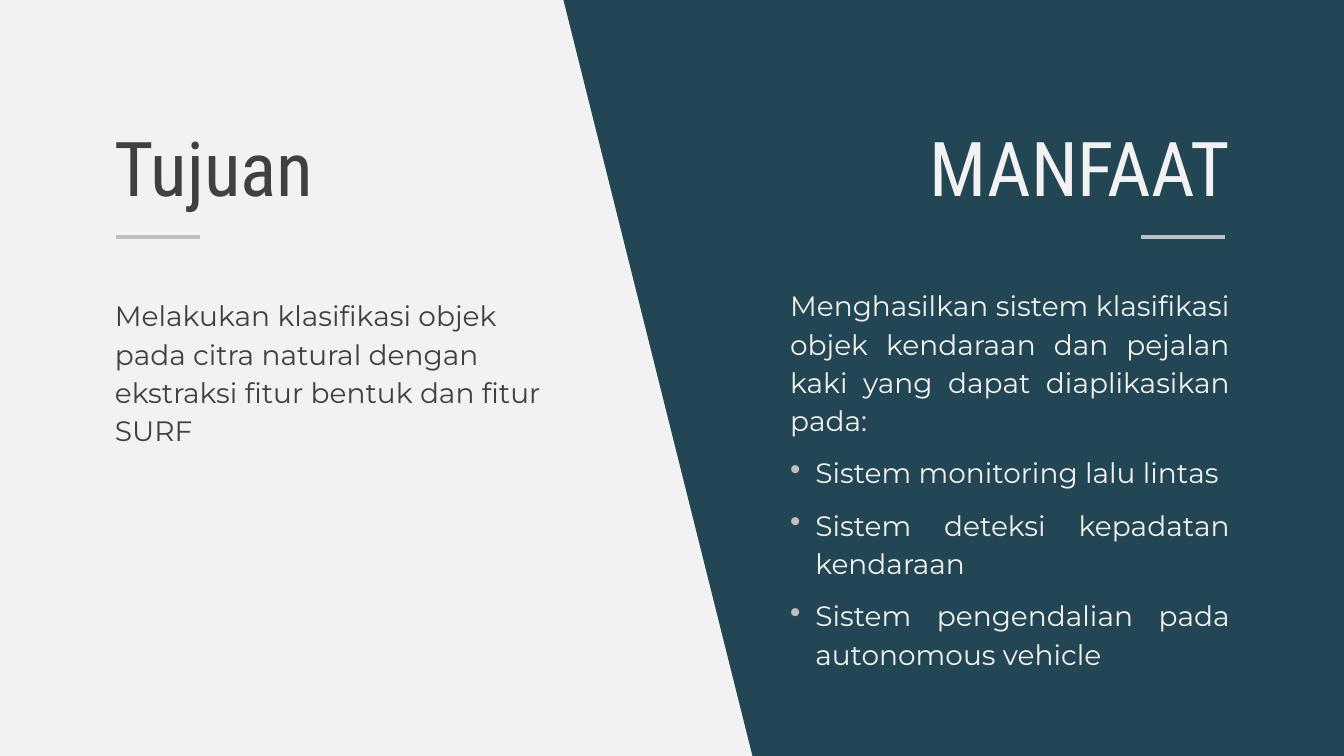
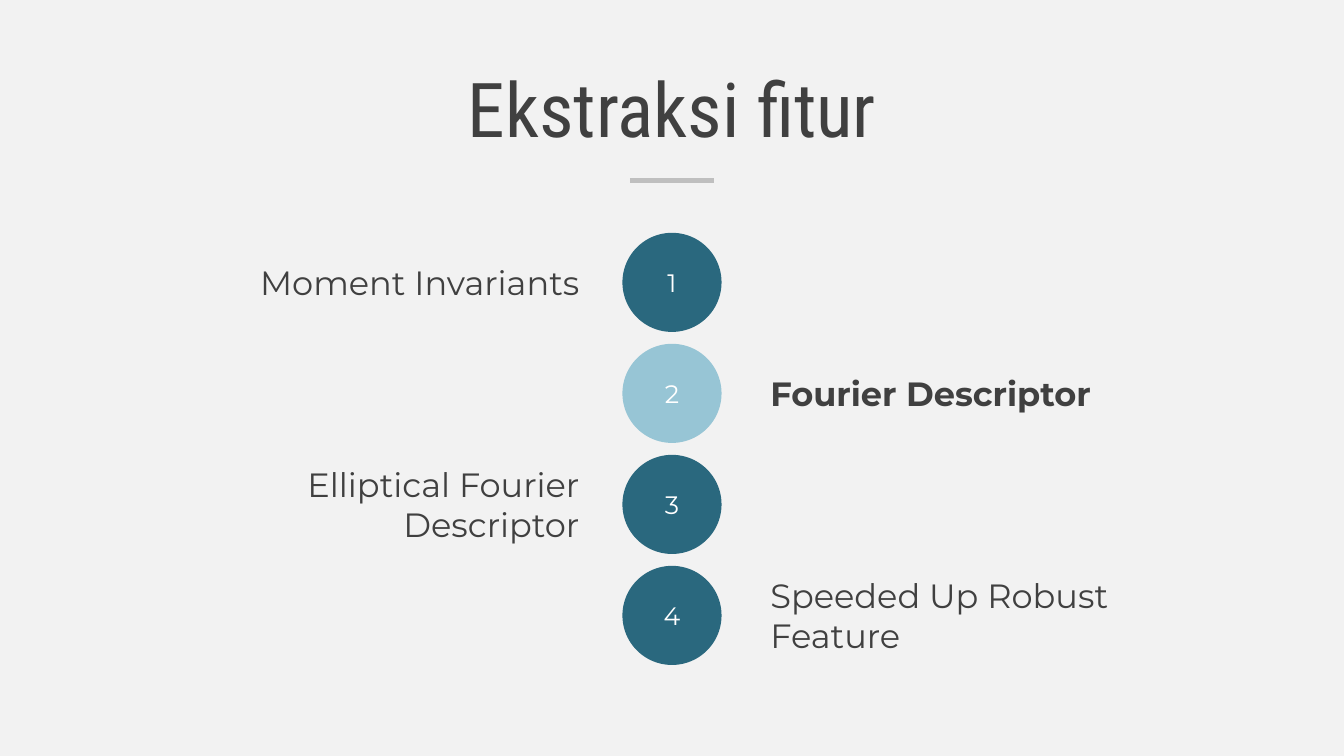
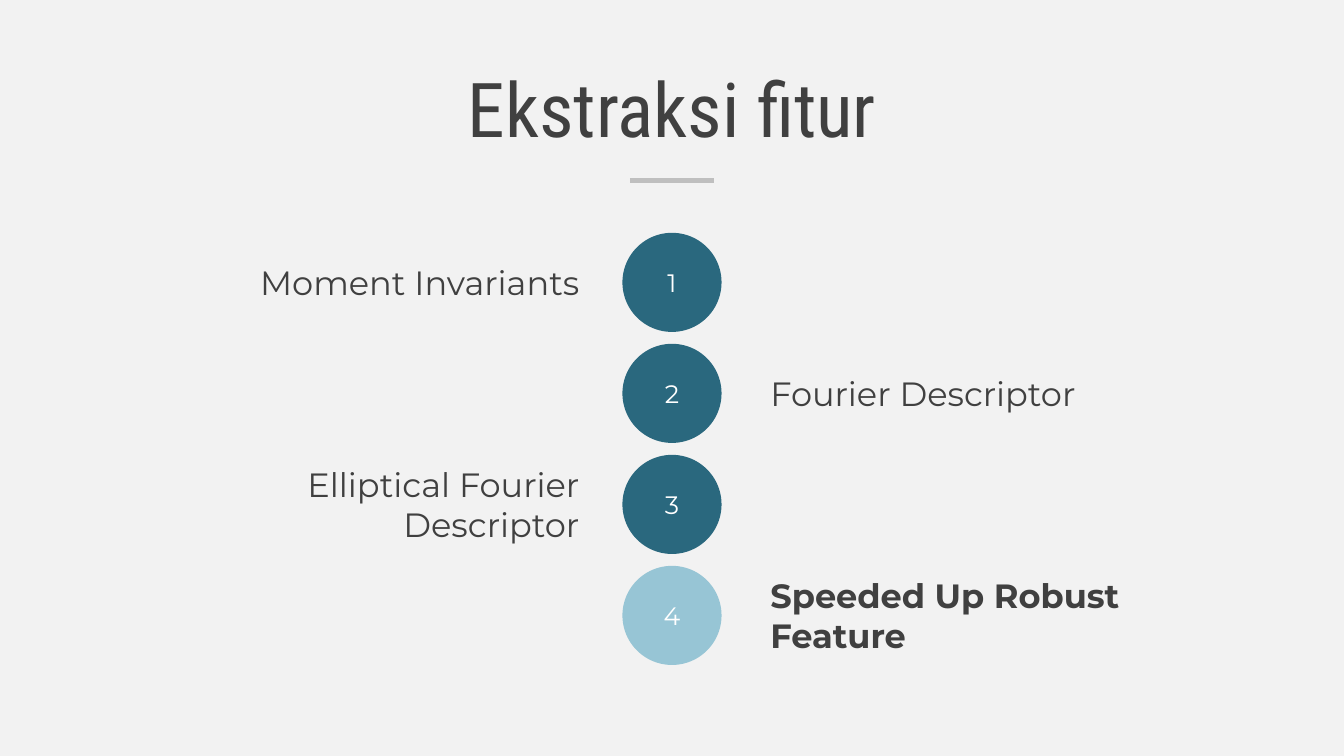
from dataclasses import dataclass

from lxml import etree
from pptx import Presentation
from pptx.dml.color import RGBColor as Rgb
from pptx.enum import shapes as es, text as et
from pptx.oxml import ns
from pptx.util import Pt

LEFT, MID = et.PP_ALIGN.LEFT, et.PP_ALIGN.CENTER
RIGHT, JUST = et.PP_ALIGN.RIGHT, et.PP_ALIGN.JUSTIFY


@dataclass(frozen=True)
class Theme:
    paper: str = "F2F2F2"
    ink: str = "404040"
    panel: str = "224653"
    ball: str = "2A687E"
    glow: str = "97C5D5"
    rule: str = "BFBFBF"
    white: str = "FFFFFF"
    head: str = "Roboto Condensed"
    body: str = "Montserrat"
    title: int = 54
    label: int = 24
    copy: int = 20
    digit: int = 18


class Deck:
    wide, high = 960, 540

    def __init__(self, theme):
        self.theme = theme
        self.show = Presentation()
        self.show.slide_width = Pt(self.wide)
        self.show.slide_height = Pt(self.high)
        self.slide = None

    def page(self):
        self.slide = self.show.slides.add_slide(self.show.slide_layouts[6])
        fill = self.slide.background.fill
        fill.solid()
        fill.fore_color.rgb = Rgb.from_string(self.theme.paper)

    def shape(self, kind, box, color):
        item = self.slide.shapes.add_shape(kind, *map(Pt, box))
        item.shadow.inherit = False
        item.fill.solid()
        item.fill.fore_color.rgb = Rgb.from_string(color)
        item.line.fill.background()
        return item

    def run(self, para, words, size, color, face=None, bold=False):
        run = para.add_run()
        run.text = words
        font = run.font
        font.name = face or self.theme.body
        font.size = Pt(size)
        font.bold = bold
        font.color.rgb = Rgb.from_string(color)

    def frame(self, box, anchor=et.MSO_ANCHOR.TOP):
        frame = self.slide.shapes.add_textbox(*map(Pt, box)).text_frame
        frame.word_wrap = True
        frame.vertical_anchor = anchor
        return frame

    def title(self, words, box, align, color, rule):
        para = self.frame(box, et.MSO_ANCHOR.MIDDLE).paragraphs[0]
        para.alignment = align
        para.line_spacing = 0.9
        self.run(para, words, self.theme.title, color, self.theme.head)
        self.rule(*rule)

    def rule(self, x, y):
        line = self.slide.shapes.add_connector(
            es.MSO_CONNECTOR.STRAIGHT, Pt(x), Pt(y), Pt(x + 60), Pt(y))
        line.line.color.rgb = Rgb.from_string(self.theme.rule)
        line.line.width = Pt(3.25)
        etree.SubElement(line.element.spPr, ns.qn("a:effectLst"))

    def bullet(self, para):
        props = para._p.get_or_add_pPr()
        props.set("marL", str(Pt(18)))
        props.set("indent", str(Pt(-18)))
        color = etree.SubElement(props, ns.qn("a:buClr"))
        etree.SubElement(color, ns.qn("a:srgbClr"), val=self.theme.rule)
        etree.SubElement(props, ns.qn("a:buSzPct"), val="110000")
        etree.SubElement(props, ns.qn("a:buChar"), char="•")

    def copy(self, box, align, color, lead, points=()):
        frame = self.frame(box)
        for i, words in enumerate((lead, *points)):
            para = frame.add_paragraph() if i else frame.paragraphs[0]
            if i:
                self.bullet(para)
                para.space_before = Pt(10)
            para.alignment = align
            para.line_spacing = 1.14
            self.run(para, words, self.theme.copy, color)

    def panel(self, box):
        item = self.shape(es.MSO_SHAPE.PARALLELOGRAM, box, self.theme.panel)
        item.element.spPr.xfrm.set("flipH", "1")

    def ball(self, num, box, color):
        item = self.shape(es.MSO_SHAPE.OVAL, box, color)
        frame = item.text_frame
        frame.vertical_anchor = et.MSO_ANCHOR.MIDDLE
        para = frame.paragraphs[0]
        para.alignment = MID
        self.run(para, str(num), self.theme.digit, self.theme.white)

    def label(self, words, box, align, bold):
        frame = self.frame(box)
        frame.auto_size = et.MSO_AUTO_SIZE.SHAPE_TO_FIT_TEXT
        para = frame.paragraphs[0]
        para.alignment = align
        self.run(para, words, self.theme.label, self.theme.ink, bold=bold)


def goals(deck):
    look = deck.theme
    near, far, wide = 75, 557.3, 328.3
    top, high, bar = 82.8, 80.6, 169.2
    deck.page()
    deck.panel((402.5, 0, 697, deck.high))
    deck.title("Tujuan", (near, top, wide, high), LEFT, look.ink, (83, bar))
    deck.copy((near, 206.6, wide, 199.4), LEFT, look.ink,
              "Melakukan klasifikasi objek pada citra natural dengan "
              "ekstraksi fitur bentuk dan fitur SURF")
    deck.title("MANFAAT", (far, top, wide, high), RIGHT, look.paper,
               (815, bar))
    deck.copy((far, 199.4, wide, 300), JUST, look.paper,
              "Menghasilkan sistem klasifikasi objek kendaraan dan "
              "pejalan kaki yang dapat diaplikasikan pada:",
              ("Sistem monitoring lalu lintas",
               "Sistem deteksi kepadatan kendaraan",
               "Sistem pengendalian pada autonomous vehicle"))


STEPS = (("Moment Invariants", 36.4),
         ("Fourier Descriptor", 36.4),
         ("Elliptical Fourier Descriptor", 65.4),
         ("Speeded Up Robust Feature", 65.4))


def steps(deck, active):
    look = deck.theme
    size, pitch, first = 70.8, 79.3, 201.7
    deck.page()
    deck.title("Ekstraksi fitur", (66, 28.8, 828, 104.4), MID, look.ink,
               (450, 128.9))
    for i, (words, high) in enumerate(STEPS):
        num, mid = i + 1, first + i * pitch
        lit = num == active
        deck.ball(num, ((deck.wide - size) / 2, mid - size / 2, size, size),
                  look.glow if lit else look.ball)
        x, align = (543.2, LEFT) if i % 2 else (155.2, RIGHT)
        deck.label(words, (x, mid - high / 2, 265.7, high), align, lit)


def main():
    deck = Deck(Theme())
    goals(deck)
    for active in (2, 4):
        steps(deck, active)
    deck.show.save("out.pptx")


if __name__ == "__main__":
    main()
